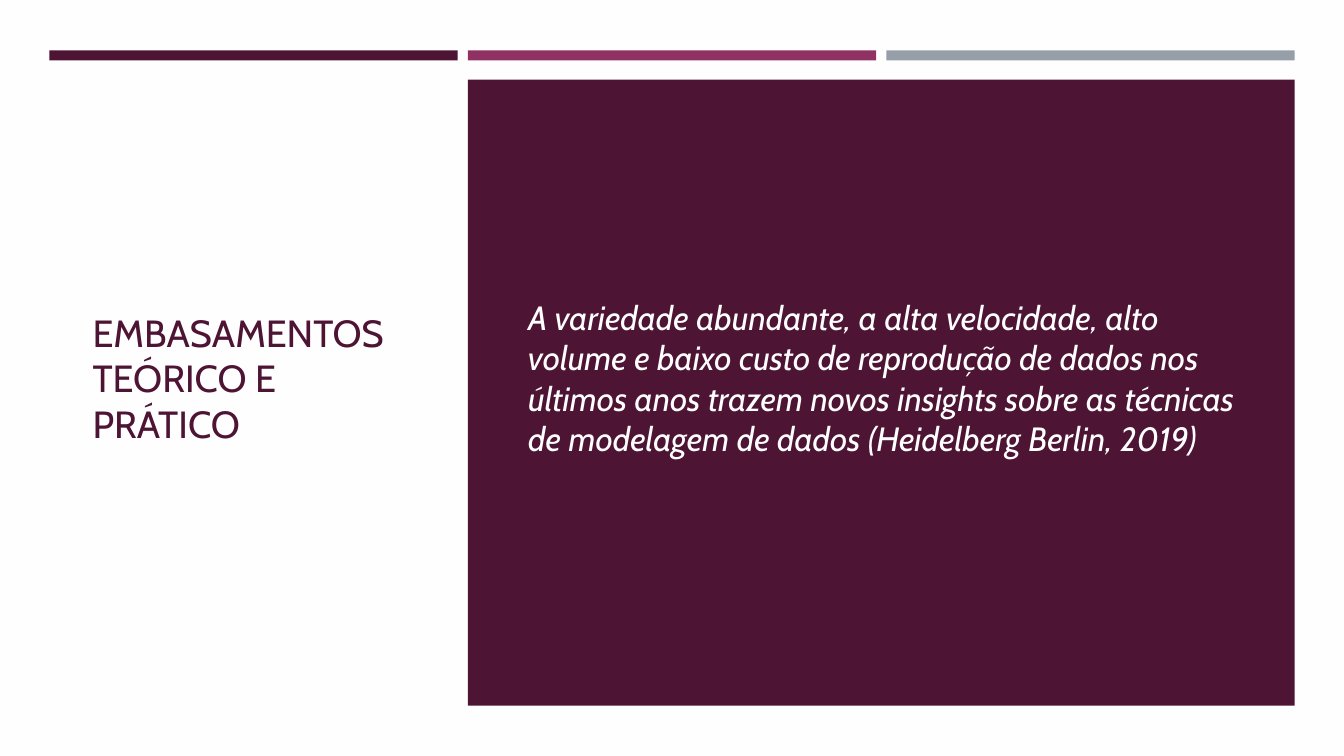
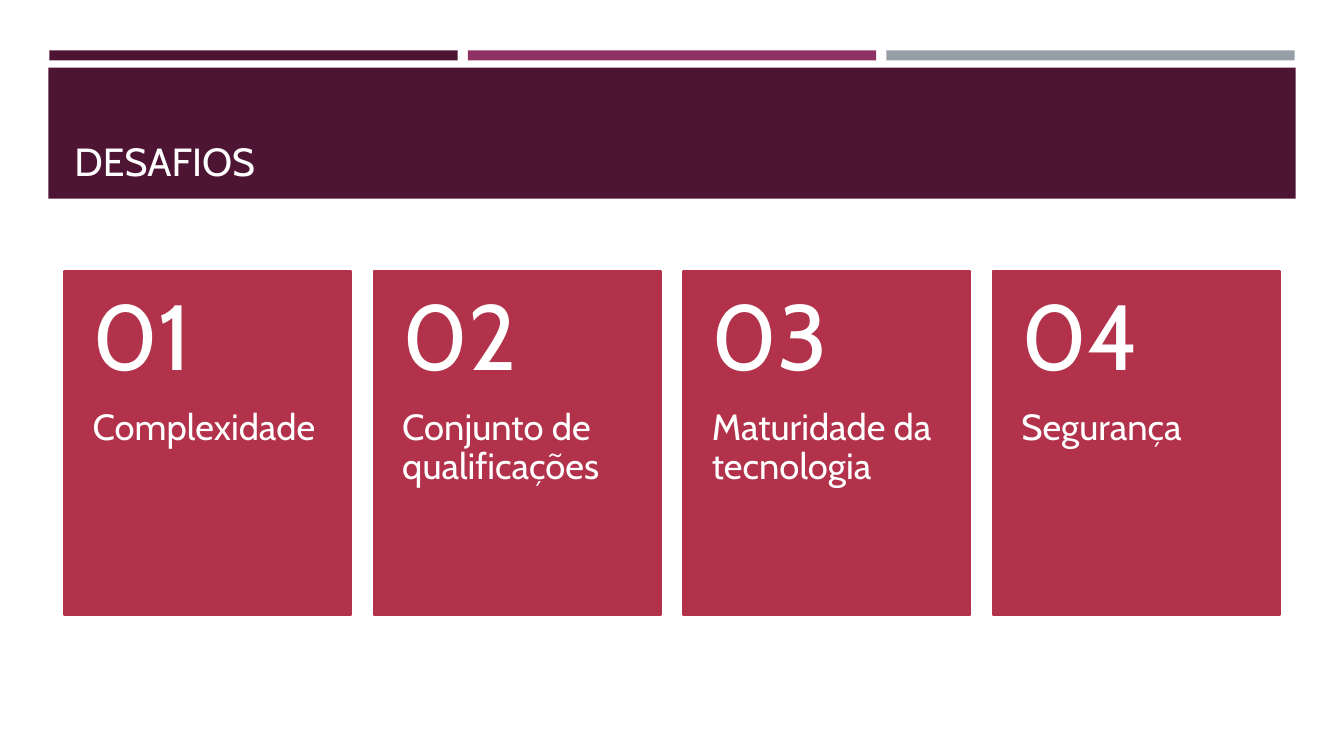
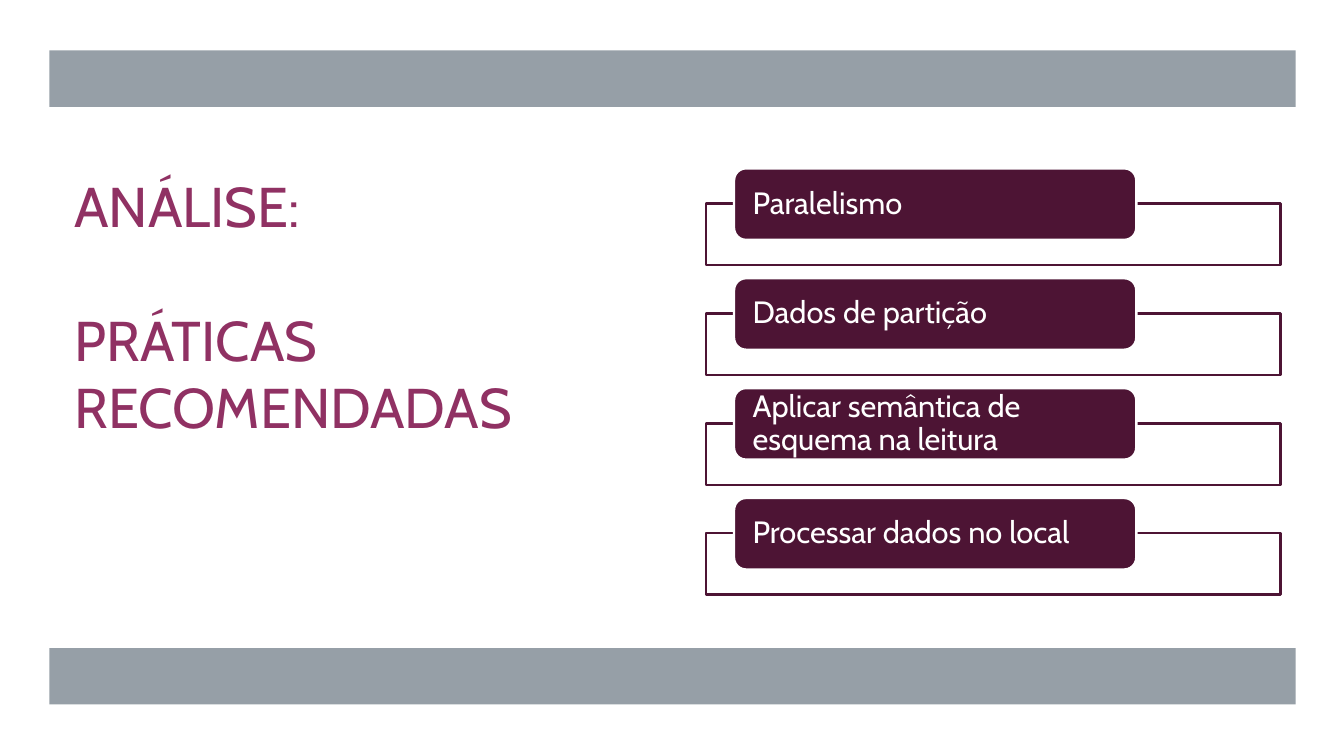
from pptx import Presentation
from pptx import util as u
from pptx.dml import color
from pptx.enum import shapes, text

FONT = "Cabin"
PLUM, MAGENTA, GREY = "4D1434", "903163", "969FA7"
CRIMSON, WHITE, OFF_WHITE = "B2324B", "FFFFFF", "FFFEFF"
MARGIN = 0.49
RECTANGLE = shapes.MSO_SHAPE.RECTANGLE
ROUNDED = shapes.MSO_SHAPE.ROUNDED_RECTANGLE
TOP, MIDDLE, BOTTOM = (text.MSO_ANCHOR.TOP, text.MSO_ANCHOR.MIDDLE,
                       text.MSO_ANCHOR.BOTTOM)
TEXT_INSETS = (0.1, 0.05, 0.1, 0.05)


def rgb(value):
    return color.RGBColor.from_string(value)


def add_box(slide, place, fill, line=None, kind=RECTANGLE):
    shape = slide.shapes.add_shape(kind, *map(u.Inches, place))
    shape.shadow.inherit = False
    shape.fill.solid()
    shape.fill.fore_color.rgb = rgb(fill)
    if line:
        shape.line.color.rgb = rgb(line)
        shape.line.width = u.Pt(1.75)
    else:
        shape.line.fill.background()
    return shape


def write(shape, paragraphs, size, ink, anchor=TOP, insets=TEXT_INSETS,
          spacing=None, after=0, italic=False):
    """Fill a shape with paragraphs; after is the gap between them in points."""
    frame = shape.text_frame
    frame.word_wrap = True
    frame.vertical_anchor = anchor
    (frame.margin_left, frame.margin_top,
     frame.margin_right, frame.margin_bottom) = map(u.Inches, insets)
    for index, words in enumerate(paragraphs):
        paragraph = frame.add_paragraph() if index else frame.paragraphs[0]
        paragraph.alignment = text.PP_ALIGN.LEFT
        if spacing:
            paragraph.line_spacing = spacing
        if index < len(paragraphs) - 1:
            paragraph.space_after = u.Pt(after)
        run = paragraph.add_run()
        run.text = words
        run.font.name = FONT
        run.font.size = u.Pt(size)
        run.font.italic = italic
        run.font.color.rgb = rgb(ink)


def add_text(slide, place, paragraphs, size, ink, **style):
    box = slide.shapes.add_textbox(*map(u.Inches, place))
    write(box, paragraphs, size, ink, **style)


def add_slide(presentation, background=WHITE):
    slide = presentation.slides.add_slide(presentation.slide_layouts[6])
    slide.background.fill.solid()
    slide.background.fill.fore_color.rgb = rgb(background)
    return slide


def add_stripes(slide):
    for index, fill in enumerate((PLUM, MAGENTA, GREY)):
        add_box(slide, (MARGIN + index * 4.15, 0.5, 4.05, 0.1), fill)


def add_card(slide, left, number, label):
    top, width, height, number_height = 2.69, 2.84, 3.41, 1.37
    add_box(slide, (left, top, width, height), CRIMSON, CRIMSON)
    add_text(slide, (left, top, width, number_height), [f"{number:02}"], 66,
             WHITE, anchor=MIDDLE, insets=(0.28, 0.18, 0.28, 0.18), spacing=0.9)
    add_text(slide, (left, top + number_height, width, height - number_height),
             [label], 26, WHITE, insets=(0.28, 0, 0.28, 0.36), spacing=0.9)


def add_practice(slide, top, label):
    add_box(slide, (7, top + 0.35, 5.7, 0.61), WHITE, PLUM)
    tab = add_box(slide, (7.28, top, 3.99, 0.71), PLUM, WHITE, ROUNDED)
    write(tab, [label], 22, WHITE, anchor=MIDDLE, insets=(0.15, 0, 0.15, 0),
          spacing=0.9)


def build_foundations(presentation):
    slide = add_slide(presentation, OFF_WHITE)
    add_stripes(slide)
    add_text(slide, (0.82, 1.17, 3.34, 5.15),
             ["EMBASAMENTOS TEÓRICO E PRÁTICO"], 27, PLUM, anchor=MIDDLE)
    add_box(slide, (4.64, 0.79, 8.2, 6.21), PLUM)
    quote = ("A variedade abundante, a alta velocidade, alto volume e baixo "
             "custo de reprodução de dados nos últimos anos trazem novos "
             "insights sobre as técnicas de modelagem de dados "
             "(Heidelberg Berlin, 2019)")
    add_text(slide, (5.14, 1.17, 7.22, 5.15), [quote], 24, WHITE,
             anchor=MIDDLE, italic=True)


def build_challenges(presentation):
    slide = add_slide(presentation)
    add_stripes(slide)
    add_box(slide, (0.48, 0.67, 12.37, 1.3), PLUM)
    add_text(slide, (0.64, 0.77, 12.06, 1.11), ["DESAFIOS"], 28, OFF_WHITE,
             anchor=BOTTOM)
    labels = ("Complexidade", "Conjunto de qualificações",
              "Maturidade da tecnologia", "Segurança")
    for index, label in enumerate(labels):
        add_card(slide, 0.64 + index * 3.07, index + 1, label)


def build_practices(presentation):
    slide = add_slide(presentation)
    for top in (0.5, 6.43):
        add_box(slide, (MARGIN, top, 12.36, 0.56), GREY)
    add_text(slide, (0.64, 1.65, 5.6, 4.27),
             ["ANÁLISE:", "PRÁTICAS RECOMENDADAS"], 40, MAGENTA, after=48)
    labels = ("Paralelismo", "Dados de partição",
              "Aplicar semântica de esquema na leitura",
              "Processar dados no local")
    for index, label in enumerate(labels):
        add_practice(slide, 1.67 + index * 1.09, label)


def main():
    presentation = Presentation()
    presentation.slide_width = u.Inches(13.33)
    presentation.slide_height = u.Inches(7.5)
    build_foundations(presentation)
    build_challenges(presentation)
    build_practices(presentation)
    presentation.save("out.pptx")


if __name__ == "__main__":
    main()
